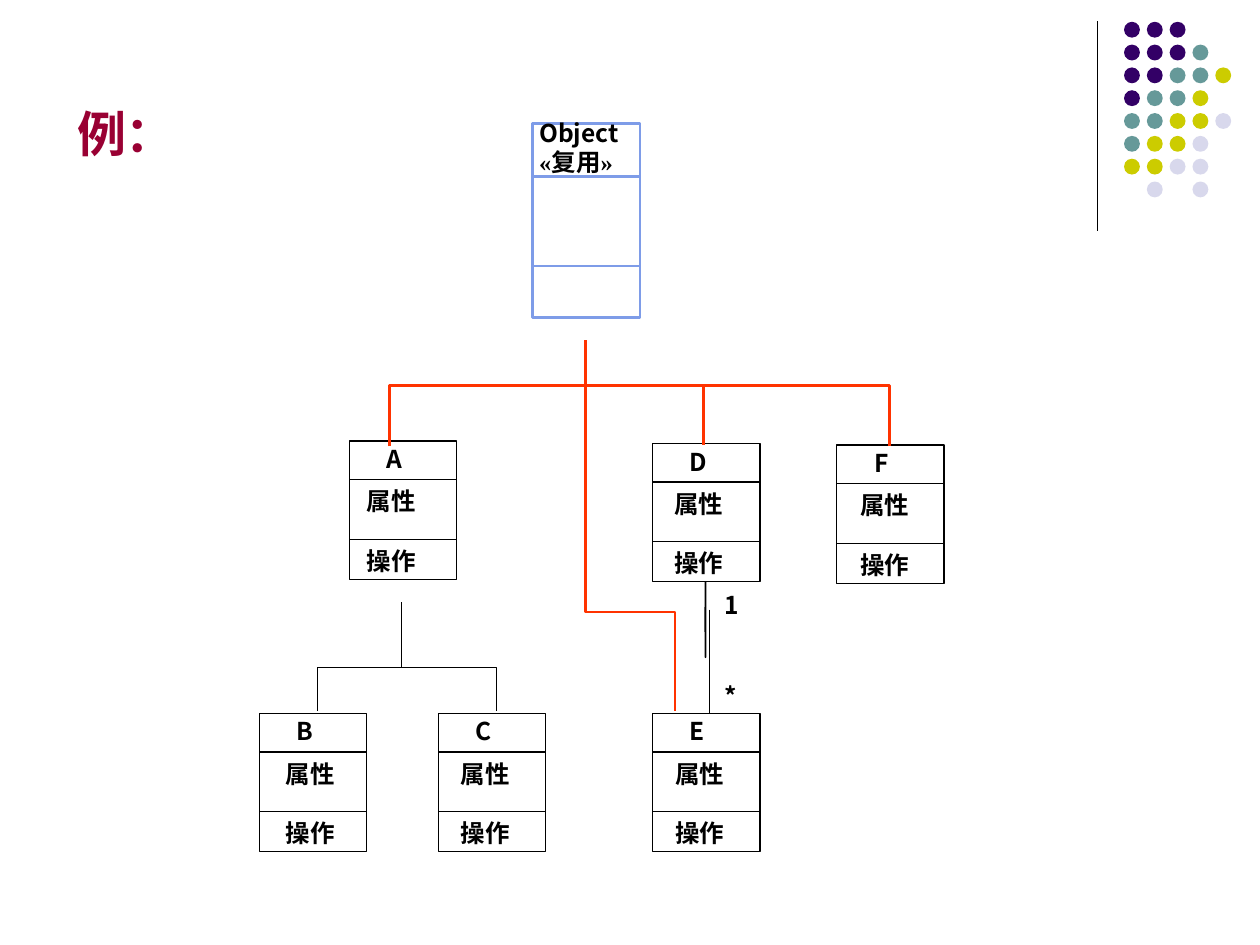
import lxml.etree
import pptx
import pptx.dml.color
import pptx.enum.shapes
import pptx.enum.text
import pptx.oxml.ns
import pptx.util

Cm = pptx.util.Cm
Pt = pptx.util.Pt
RGBColor = pptx.dml.color.RGBColor
SHAPE = pptx.enum.shapes.MSO_SHAPE

BLACK = RGBColor(0x00, 0x00, 0x00)
WHITE = RGBColor(0xFF, 0xFF, 0xFF)
CRIMSON = RGBColor(0x99, 0x00, 0x33)
BLUE = RGBColor(0x7E, 0x9C, 0xE8)
RED = RGBColor(0xFF, 0x33, 0x00)
DOT_COLORS = {
    "P": RGBColor(0x33, 0x00, 0x66),
    "T": RGBColor(0x66, 0x99, 0x99),
    "Y": RGBColor(0xCC, 0xCC, 0x00),
    "L": RGBColor(0xD8, 0xD8, 0xEC),
}
CJK_FONT = "Noto Sans CJK SC"

presentation = pptx.Presentation()
presentation.slide_width = Cm(25.4)
presentation.slide_height = Cm(19.05)
slide = presentation.slides.add_slide(presentation.slide_layouts[5])


def add_line(x1, y1, x2, y2, color=BLACK, width=0.75):
    line = slide.shapes.add_connector(
        pptx.enum.shapes.MSO_CONNECTOR.STRAIGHT, Cm(x1), Cm(y1), Cm(x2), Cm(y2))
    line.line.color.rgb = color
    line.line.width = Pt(width)
    lxml.etree.SubElement(line._element.spPr, pptx.oxml.ns.qn("a:effectLst"))


def format_run(run, size, font_name, color):
    run.font.size = Pt(size)
    run.font.bold = True
    run.font.color.rgb = color
    run.font.name = font_name
    east_asian = lxml.etree.SubElement(
        run._r.get_or_add_rPr(), pptx.oxml.ns.qn("a:ea"))
    east_asian.set("typeface", CJK_FONT)


# Corner decoration: rule and dot grid
add_line(22.12, 0.43, 22.12, 4.65)
dot_rows = ["PPP", "PPPT", "PPTTY", "PTTY", "TTYYL", "TYYL", "YYLL", " L L"]
for row, pattern in enumerate(dot_rows):
    for column, key in enumerate(pattern):
        if key in DOT_COLORS:
            dot = slide.shapes.add_shape(
                SHAPE.OVAL, Cm(22.66 + 0.46 * column), Cm(0.44 + 0.46 * row),
                Cm(0.32), Cm(0.32))
            dot.shadow.inherit = False
            dot.fill.solid()
            dot.fill.fore_color.rgb = DOT_COLORS[key]
            dot.line.fill.background()

# Title
title = slide.shapes.title
title.left, title.top, title.width, title.height = Cm(1.55), Cm(1.96), Cm(1.98), Cm(1.19)
title_frame = title.text_frame
title_frame.text = "例："
title_frame.margin_left = title_frame.margin_right = 0
title_frame.margin_top = title_frame.margin_bottom = 0
title_frame.word_wrap = False
title_frame.auto_size = pptx.enum.text.MSO_AUTO_SIZE.NONE
title_frame.vertical_anchor = pptx.enum.text.MSO_ANCHOR.TOP
title_frame.paragraphs[0].alignment = pptx.enum.text.PP_ALIGN.CENTER
title_frame.paragraphs[0].line_spacing = Pt(37)
format_run(title_frame.paragraphs[0].runs[0], 28, "Arial", CRIMSON)

# Association between D and E
add_line(14.3, 12.29, 14.3, 14.38)

# Classes: name, left, top, indent of the member text
classes = [
    ("A", 7.04, 8.89, 0.10),
    ("B", 5.23, 14.38, 0.28),
    ("C", 8.84, 14.38, 0.20),
    ("D", 13.16, 8.94, 0.18),
    ("E", 13.16, 14.38, 0.20),
    ("F", 16.87, 8.97, 0.22),
]

# Class boxes with their two dividers
boxes = [(left, top, 2.79, (0.78, 1.98), BLACK, 0.75) for _, left, top, _ in classes]
boxes.append((10.74, 2.49, 3.91, (1.07, 2.87), BLUE, 1.5))
for left, top, height, dividers, color, width in boxes:
    box = slide.shapes.add_shape(SHAPE.RECTANGLE, Cm(left), Cm(top), Cm(2.16), Cm(height))
    box.shadow.inherit = False
    box.fill.solid()
    box.fill.fore_color.rgb = WHITE
    box.line.color.rgb = color
    box.line.width = Pt(width)
    for offset in dividers:
        add_line(left, top + offset, left + 2.16, top + offset, color, width)

# Labels: left, top, width, height, paragraphs made of runs
labels = [
    (14.35, 11.76, 0.79, 0.86, [["1"]]),
    (14.35, 13.59, 0.76, 0.86, [["*"]]),
    (10.62, 2.24, 2.24, 1.45, [["Object"], ["«", "复用", "»"]]),
]
for name, left, top, indent in classes:
    labels.append((left + 0.5, top - 0.07, 0.83, 0.86, [[name]]))
    labels.append((left + indent, top + 0.78, 1.5, 2.03, [["属性"], ["操作"]]))
for left, top, width, height, paragraphs in labels:
    label = slide.shapes.add_textbox(Cm(left), Cm(top), Cm(width), Cm(height))
    label_frame = label.text_frame
    label_frame.word_wrap = False
    label_frame.auto_size = pptx.enum.text.MSO_AUTO_SIZE.SHAPE_TO_FIT_TEXT
    for index, parts in enumerate(paragraphs):
        paragraph = label_frame.add_paragraph() if index else label_frame.paragraphs[0]
        paragraph.line_spacing = Pt(17)
        if parts == ["操作"]:
            paragraph.space_before = Pt(17)
        for part in parts:
            run = paragraph.add_run()
            run.text = part
            format_run(run, 14, "Times New Roman" if part in "«»" else CJK_FONT, BLACK)

# Aggregation mark under D
diamond = slide.shapes.add_shape(SHAPE.DIAMOND, Cm(14.22), Cm(11.73), 0, Cm(1.52))
diamond.shadow.inherit = False
diamond.fill.background()
diamond.line.color.rgb = BLACK
diamond.line.width = Pt(1)

# Inheritance trees: bent lines and straight stems
bent_lines = [
    ([(6.4, 14.33), (6.4, 13.46), (10.01, 13.46), (10.01, 14.33)], BLACK, 0.75),
    ([(7.85, 9.0), (7.85, 7.77), (17.93, 7.77), (17.93, 9.0)], RED, 1.5),
    ([(11.81, 6.86), (11.81, 12.34), (13.61, 12.34), (13.61, 14.33)], RED, 1.5),
]
for points, color, width in bent_lines:
    corners = [(Cm(x), Cm(y)) for x, y in points]
    builder = slide.shapes.build_freeform(*corners[0])
    builder.add_line_segments(corners[1:], close=False)
    bent_line = builder.convert_to_shape()
    bent_line.shadow.inherit = False
    bent_line.fill.background()
    bent_line.line.color.rgb = color
    bent_line.line.width = Pt(width)
add_line(8.1, 12.14, 8.1, 13.46)
add_line(14.18, 7.75, 14.18, 8.97, RED, 1.5)

presentation.save("out.pptx")
